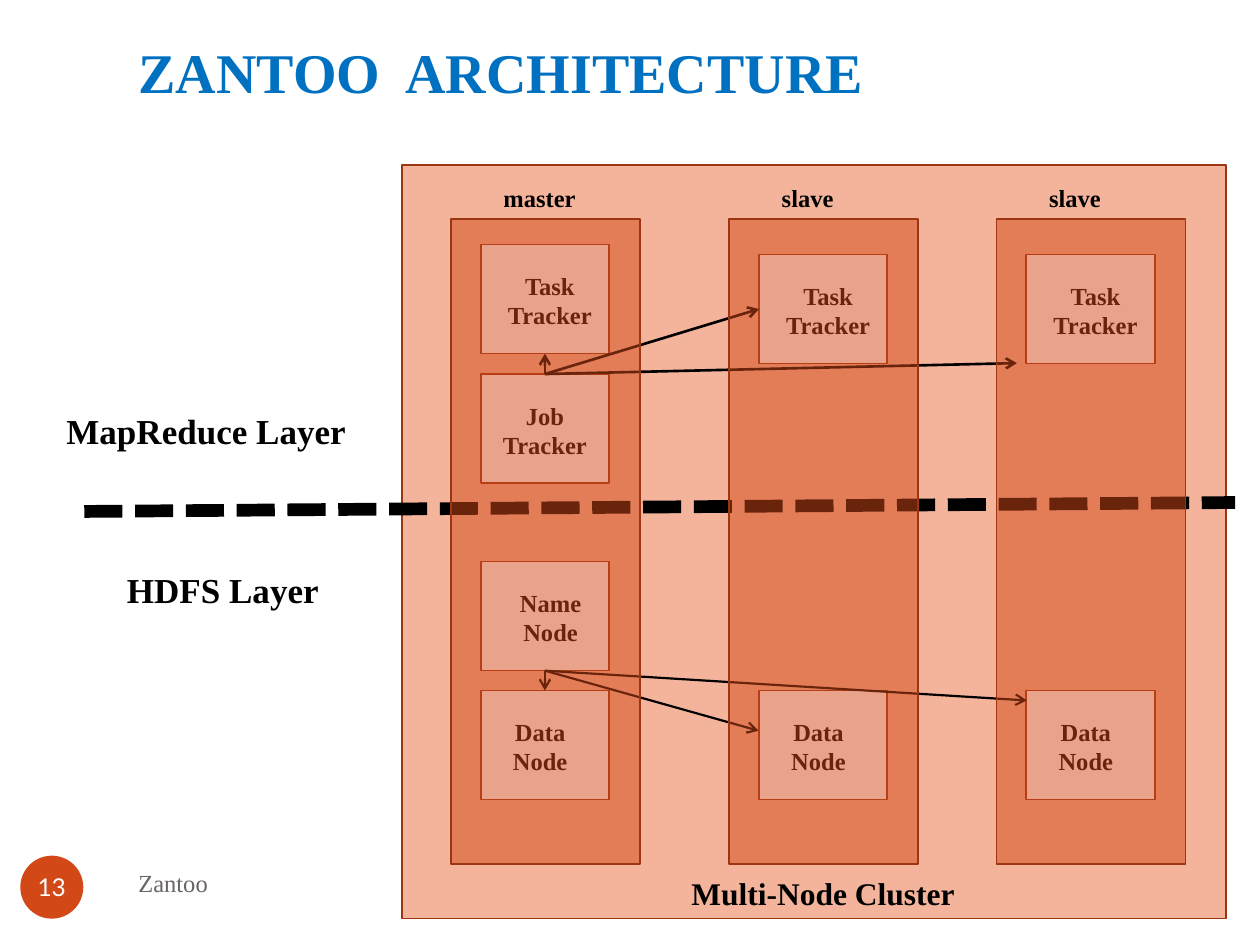
from lxml import etree
from pptx import Presentation
from pptx.dml.color import RGBColor
from pptx.enum.dml import MSO_LINE
from pptx.enum.shapes import MSO_CONNECTOR, MSO_SHAPE
from pptx.enum.text import MSO_ANCHOR, MSO_AUTO_SIZE, PP_ALIGN
from pptx.oxml.ns import qn
from pptx.util import Cm, Pt

RECT, OVAL = MSO_SHAPE.RECTANGLE, MSO_SHAPE.OVAL
STRAIGHT = MSO_CONNECTOR.STRAIGHT
SYS_DASH = MSO_LINE.SQUARE_DOT
LEFT, CENTER = PP_ALIGN.LEFT, PP_ALIGN.CENTER
TOP, MIDDLE = MSO_ANCHOR.TOP, MSO_ANCHOR.MIDDLE
FIT, FIXED = MSO_AUTO_SIZE.SHAPE_TO_FIT_TEXT, MSO_AUTO_SIZE.NONE
SIDE_TOP, SIDE_LEFT, SIDE_BOTTOM = 0, 1, 2

SERIF, SANS = "Times New Roman", "Lato"
COLORS = {
    "title": "0070C0",
    "accent": "D34817",
    "cluster": "F4B39B",
    "outline": "9C3511",
    "footer": "696464",
    "black": "000000",
    "white": "FFFFFF",
}
COLUMN_W, COLUMN_H, COLUMN_TOP = 3.81, 13, 1.09
NODE_W, NODE_H, NODE_DX = 2.59, 2.2, 0.6
LABEL_DY, LABEL_H = 0.41, 1.45
LABELS = {"Task": (0.2, 2.39), "Job": (0.1, 2.39), "Name": (0.41, 2), "Data": (0.2, 2)}
COLUMNS = [
    ("master", 0.99, [("Task Tracker", 0.51), ("Job\nTracker", 3.12),
                      ("Name Node", 6.9), ("Data Node", 9.5)]),
    ("slave", 6.6, [("Task Tracker", 0.71), ("Data Node", 9.5)]),
    ("slave", 11.99, [("Task Tracker", 0.71), ("Data\nNode", 9.5)]),
]


def color(name):
    return RGBColor.from_string(COLORS[name])


def format_text(tf, text, size, ink="black", bold=True, align=LEFT, font=SERIF):
    tf.text = text
    for p in tf.paragraphs:
        p.alignment = align
        for r in p.runs:
            r.font.name, r.font.size, r.font.bold = font, Pt(size), bold
            r.font.color.rgb = color(ink)


def add_text(s, box, text, size, **style):
    tf = s.shapes.add_textbox(*map(Cm, box)).text_frame
    tf.word_wrap = True
    tf.auto_size = FIT
    format_text(tf, text, size, **style)
    return tf


def add_box(s, box, fill, line="outline", kind=RECT, alpha=None):
    sp = s.shapes.add_shape(kind, *map(Cm, box))
    sp.shadow.inherit = False
    sp.fill.solid()
    sp.fill.fore_color.rgb = color(fill)
    if alpha:
        rgb = sp._element.spPr.find(f"{qn('a:solidFill')}/{qn('a:srgbClr')}")
        etree.SubElement(rgb, qn("a:alpha"), val=str(alpha * 1000))
    if line:
        sp.line.color.rgb = color(line)
        sp.line.width = Pt(1)
    else:
        sp.line.fill.background()
    return sp


def add_line(s, start, end, width):
    line = s.shapes.add_connector(STRAIGHT, *map(Cm, start + end))
    line.line.color.rgb = color("black")
    line.line.width = Pt(width)
    etree.SubElement(line._element.spPr, qn("a:effectLst"))
    return line


def add_arrow(s, source, side, end, width, target=None, target_side=None):
    line = add_line(s, (0, 0), end, width)
    line.begin_connect(source, side)
    if target is not None:
        line.end_connect(target, target_side)
    ln = line._element.spPr.find(qn("a:ln"))
    etree.SubElement(ln, qn("a:tailEnd"), type="arrow")


def add_title(s, box):
    title = s.shapes.title
    title.left, title.top, title.width, title.height = map(Cm, box)
    tf = title.text_frame
    tf.word_wrap = True
    tf.vertical_anchor = TOP
    tf.auto_size = FIT
    format_text(tf, "ZANTOO  ARCHITECTURE", 32, ink="title")


def add_footer(s, x, y):
    tf = add_text(s, (x + 2.13, y - 0.1, 11, 1.27), "Zantoo", 14, ink="footer", bold=False)
    tf.auto_size = FIXED
    tf.vertical_anchor = MIDDLE
    tf = add_box(s, (x, y, 1.27, 1.27), "accent", None, OVAL).text_frame
    tf.margin_left = tf.margin_right = tf.margin_top = tf.margin_bottom = 0
    tf.word_wrap = False
    tf.vertical_anchor = MIDDLE
    format_text(tf, "13", 14, ink="white", bold=False, align=CENTER, font=SANS)


def add_layers(s, x, y, width):
    divider = add_line(s, (x, y), (x + width, y - 0.18), 7.25)
    divider.line.dash_style = SYS_DASH
    add_text(s, (x - 0.61, y - 2.18, 6.2, 1.12), "MapReduce Layer", 20)
    add_text(s, (x + 0.61, y + 1.02, 5.21, 1.12), "HDFS Layer", 20)


def add_column_nodes(s, x, y, heading, nodes):
    add_text(s, (x + 0.81, y - 0.86, 2.21, 0.86), heading, 14)
    boxes = {}
    for text, dy in nodes:
        name = text.split()[0]
        dx, width = LABELS[name]
        left, top = x + NODE_DX, y + dy
        boxes[name] = add_box(s, (left, top, NODE_W, NODE_H), "white")
        add_text(s, (left + dx, top + LABEL_DY, width, LABEL_H), text, 14, align=CENTER)
    return boxes


def add_arrows(s, x, y, master, slave):
    job, name = master["Job"], master["Name"]
    add_arrow(s, job, SIDE_TOP, (0, 0), 1.5, master["Task"], SIDE_BOTTOM)
    add_arrow(s, job, SIDE_TOP, (0, 0), 1.5, slave["Task"], SIDE_LEFT)
    add_arrow(s, job, SIDE_TOP, (x + 12.4, y + 3.99), 1.5)
    add_arrow(s, name, SIDE_BOTTOM, (0, 0), 1.25, master["Data"], SIDE_TOP)
    add_arrow(s, name, SIDE_BOTTOM, (x + 7.19, y + 11.4), 1.25)
    add_arrow(s, name, SIDE_BOTTOM, (x + 12.6, y + 10.79), 1.25)


def add_cluster(s, x, y, width, height):
    add_box(s, (x, y, width, height), "cluster")
    add_layers(s, x - 6.4, y + 6.98, 23.2)
    add_text(s, (x + 5.59, y + 14.17, 6.81, 1.02), "Multi-Node Cluster", 18)
    top = y + COLUMN_TOP
    master, slave, _ = [add_column_nodes(s, x + dx, top, heading, nodes)
                        for heading, dx, nodes in COLUMNS]
    add_arrows(s, x, y, master, slave)
    for _, dx, _ in COLUMNS:
        add_box(s, (x + dx, top, COLUMN_W, COLUMN_H), "accent", alpha=50)


def main():
    prs = Presentation()
    prs.slide_width, prs.slide_height = Cm(25.4), Cm(19.05)
    s = prs.slides.add_slide(prs.slide_layouts[5])
    add_title(s, (2.54, 0.62, 17.78, 1.63))
    add_footer(s, 0.41, 17.25)
    add_cluster(s, 8.1, 3.33, 16.61, 15.19)
    prs.save("out.pptx")


if __name__ == "__main__":
    main()
